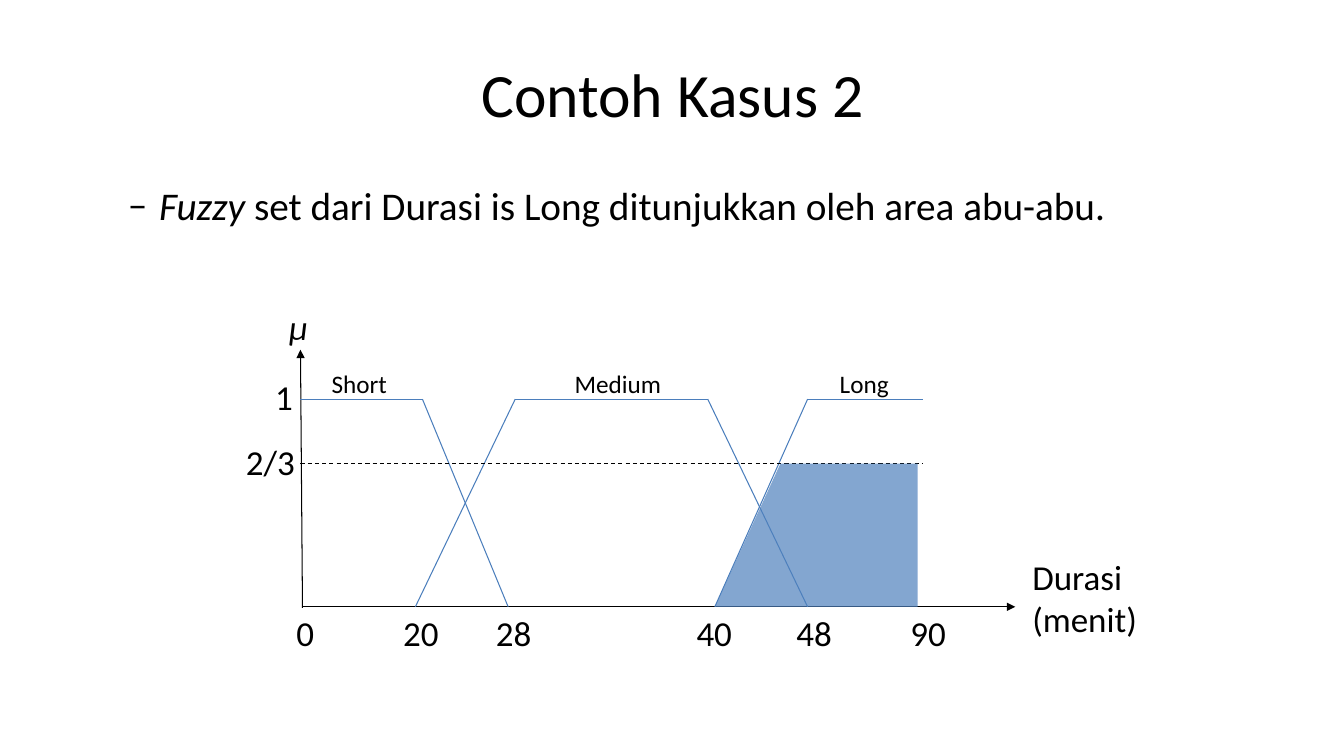
"""Build a slide showing the fuzzy sets of a duration, with the Long set shaded."""
from itertools import pairwise
from lxml import etree
from pptx import Presentation
from pptx import util as u
from pptx.dml.color import RGBColor
from pptx.enum import dml, shapes, text
from pptx.oxml.ns import qn


def paint(color_format, hex_color):
    color_format.rgb = RGBColor.from_string(hex_color)


def write(place, runs, size, **frame_format):
    label = slide.shapes.add_textbox(*map(u.Inches, place))
    frame = label.text_frame
    for name, value in ({"word_wrap": True} | frame_format).items():
        setattr(frame, name, value)
    for words, italic in runs:
        run = frame.paragraphs[0].add_run()
        run.text = words
        for name, value in {"name": "Calibri", "size": u.Pt(size), "italic": italic}.items():
            setattr(run.font, name, value)
        paint(run.font.color, "000000")
    return frame.paragraphs[0]


deck = Presentation()
deck.slide_width, deck.slide_height = u.Inches(13.33), u.Inches(7.5)
slide = deck.slides.add_slide(deck.slide_layouts[6])

title = write((0.67, 0.3, 12, 1.25), [("Contoh Kasus 2", False)], 44,
              vertical_anchor=text.MSO_ANCHOR.MIDDLE)
title.alignment = text.PP_ALIGN.CENTER

statement = write((0.67, 1.75, 12, 0.6), [
    ("Fuzzy ", True),
    ("set dari Durasi is Long ditunjukkan oleh area abu-abu.", False),
], 28)
indents = statement._p.get_or_add_pPr()
indents.set("marL", str(u.Inches(0.81)))
indents.set("indent", str(u.Inches(-0.31)))
etree.SubElement(indents, qn("a:buFont")).set("typeface", "Calibri")
etree.SubElement(indents, qn("a:buChar")).set("char", "–")

origin, right_end = 2.98, 9.15
base, cut, top = 6.02, 4.6, 3.96

polylines = [
    ([(3, 6.03), (origin, 3.47)], "000000", "axis"),
    ([(3.01, base), (10.07, base)], "000000", "axis"),
    ([(origin, top), (4.19, top), (5.04, base)], "4B7EBC", "set"),
    ([(4.12, base), (5.11, top), (7.02, top), (8.01, base)], "4B7EBC", "set"),
    ([(7.09, base), (8.01, top), (right_end, top)], "4B7EBC", "set"),
    ([(origin, cut), (right_end, cut)], "000000", "cut"),
]
for points, color, role in polylines:
    for start, end in pairwise(points):
        segment = slide.shapes.add_connector(
            shapes.MSO_CONNECTOR.STRAIGHT, *map(u.Inches, start + end))
        segment.line.width = u.Pt(0.75)
        paint(segment.line.color, color)
        if role == "cut":
            segment.line.dash_style = dml.MSO_LINE.DASH
        if role == "axis":
            etree.SubElement(segment.line._ln, qn("a:tailEnd")).set("type", "triangle")
        etree.SubElement(segment._element.spPr, qn("a:effectLst"))

for name, left, width in [("Short", 3.19, 0.78), ("Medium", 5.6, 1.06), ("Long", 8.23, 0.78)]:
    write((left, 3.61, width, 0.4), [(name, False)], 18)

for minutes, left in [(0, 2.84), (20, 3.9), (28, 4.82), (40, 6.81), (48, 7.8), (90, 8.93)]:
    write((left, base, 0.71, 0.51), [(str(minutes), False)], 25)

for name, italic, place in [
    ("1", False, (2.63, 3.68, 0.5, 0.51)),
    ("2/3", False, (2.34, 4.32, 0.78, 0.51)),
    ("µ", True, (2.77, 2.98, 0.5, 0.51)),
    ("Durasi (menit)", False, (10.14, 5.46, 1.42, 0.93)),
]:
    write(place, [(name, italic)], 25)

outline = [(u.Inches(x), u.Inches(y)) for x, y in
           [(7.09, base), (7.74, cut), (9.1, cut), (9.1, base)]]
builder = slide.shapes.build_freeform(*outline[0])
builder.add_line_segments(outline[1:], close=True)
long_area = builder.convert_to_shape()
long_area.shadow.inherit = False
long_area.line.fill.background()
long_area.fill.solid()
paint(long_area.fill.fore_color, "4F81BD")
area_color = long_area._element.spPr.find(qn("a:solidFill"))[0]
etree.SubElement(area_color, qn("a:alpha")).set("val", "70000")

deck.save("out.pptx")
